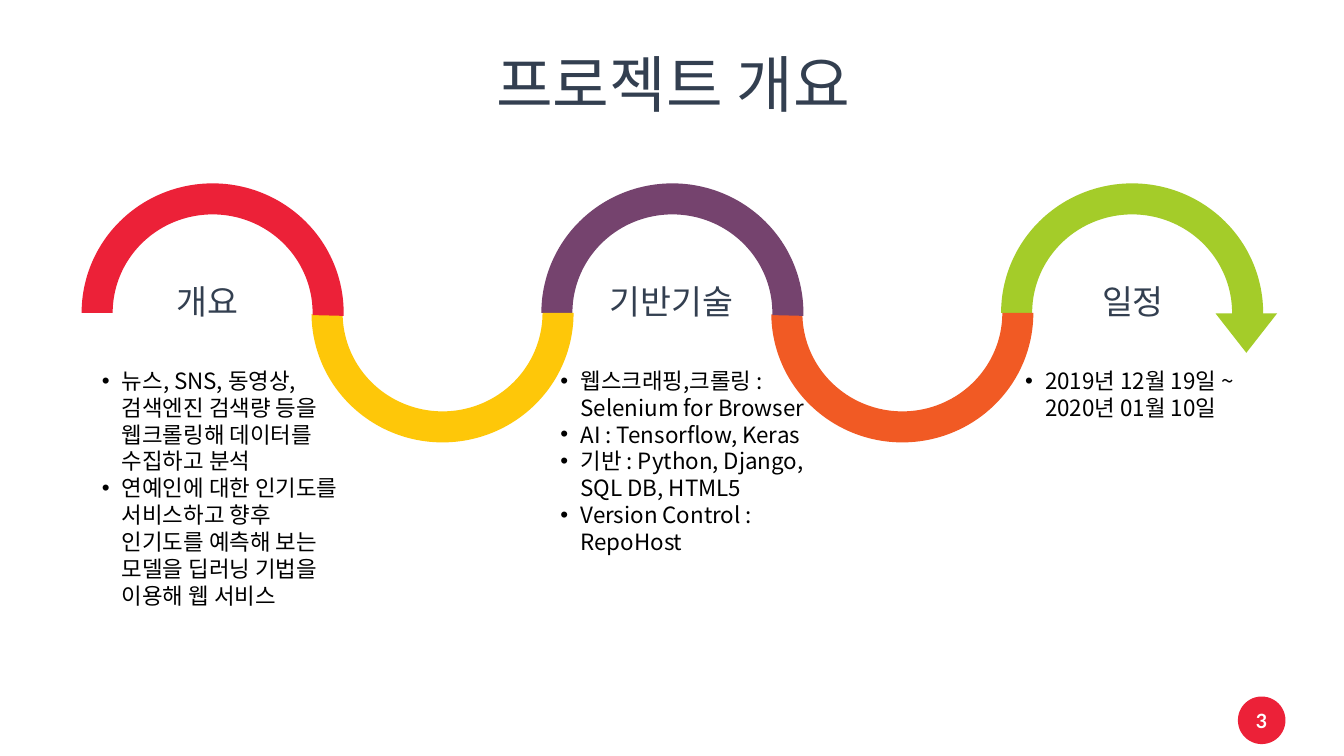
from dataclasses import dataclass

from lxml.etree import SubElement
from pptx import Presentation
from pptx.dml.color import RGBColor
from pptx.enum.shapes import MSO_SHAPE
from pptx.enum.text import MSO_ANCHOR, MSO_AUTO_SIZE, PP_ALIGN
from pptx.oxml import parse_xml
from pptx.oxml.ns import nsdecls, qn
from pptx.util import Pt


@dataclass(frozen=True)
class Theme:
    red: str = "EC2138"
    yellow: str = "FEC709"
    purple: str = "75436E"
    orange: str = "F15A24"
    green: str = "A4CC29"
    heading: str = "333F50"
    body: str = "000000"
    white: str = "FFFFFF"
    font: str = "Noto Sans CJK KR"
    number_font: str = "Lato"
    title_size: int = 44
    heading_size: int = 24
    body_size: int = 16
    number_size: int = 14


THEME = Theme()

# Wave geometry, in points
WAVE_LEFT, WAVE_TOP, WAVE_STEP = 58.3, 131, 164.2
ARC_WIDTH, ARC_HEIGHT = 187.2, 185
ARC_COLORS = (THEME.red, THEME.yellow, THEME.purple, THEME.orange, THEME.green)

# Heading, centre of the heading, left edge and height of the list, list items
SECTIONS = (
    ("개요", 148.3, 65.5, 181.5, (
        "뉴스, SNS, 동영상, 검색엔진 검색량 등을 웹크롤링해 데이터를 수집하고 분석",
        "연예인에 대한 인기도를 서비스하고 향후 인기도를 예측해 보는 "
        "모델을 딥러닝 기법을 이용해 웹 서비스",
    )),
    ("기반기술", 479.9, 393.1, 143.3, (
        "웹스크래핑,크롤링 : Selenium for Browser",
        "AI : Tensorflow, Keras",
        "기반 : Python, Django, SQL DB, HTML5",
        "Version Control : RepoHost",
    )),
    ("일정", 809.3, 725, 46, ("2019년 12월 19일 ~ 2020년 01월 10일",)),
)


def place(shape, left, top, width, height):
    shape.left, shape.top = Pt(left), Pt(top)
    shape.width, shape.height = Pt(width), Pt(height)


def style_paragraph(paragraph, size, color, font=THEME.font, bold=False):
    paragraph.font.name = font
    paragraph.font.size = Pt(size)
    paragraph.font.bold = bold
    paragraph.font.color.rgb = RGBColor.from_string(color)
    # East Asian typeface for Korean text
    properties = paragraph._p.get_or_add_pPr().get_or_add_defRPr()
    SubElement(properties, qn("a:ea"), typeface=font)


def add_bullet(paragraph, indent=14.4):
    properties = paragraph._p.get_or_add_pPr()
    properties.set("marL", str(Pt(indent)))
    properties.set("indent", str(-Pt(indent)))
    default_run = properties.get_or_add_defRPr()
    for tag in ('a:buFont {} typeface="Arial"', 'a:buChar {} char="•"'):
        default_run.addprevious(parse_xml(f"<{tag.format(nsdecls('a'))}/>"))


def add_solid_shape(slide, kind, color, left, top, width, height, rotation=0):
    shape = slide.shapes.add_shape(
        kind, Pt(left), Pt(top), Pt(width), Pt(height))
    shape.shadow.inherit = False
    shape.fill.solid()
    shape.fill.fore_color.rgb = RGBColor.from_string(color)
    shape.line.fill.background()
    shape.rotation = rotation
    return shape


def fill_title(title):
    place(title, 67, 26, 828, 72.7)
    title.text_frame.text = "프로젝트 개요"
    title.text_frame.vertical_anchor = MSO_ANCHOR.MIDDLE
    paragraph = title.text_frame.paragraphs[0]
    paragraph.alignment = PP_ALIGN.CENTER
    paragraph.line_spacing = 0.9
    style_paragraph(paragraph, THEME.title_size, THEME.heading)


def add_wave(slide):
    # Right to left, so that each arc lies over the next one
    for index, color in reversed(list(enumerate(ARC_COLORS))):
        is_valley = index % 2 == 1
        arc = add_solid_shape(
            slide, MSO_SHAPE.BLOCK_ARC, color, WAVE_LEFT + index * WAVE_STEP,
            WAVE_TOP, ARC_WIDTH, ARC_HEIGHT, 180 if is_valley else 0)
        arc.adjustments[0] = 108
        arc.adjustments[1] = 215.63 if is_valley else 0.79
        arc.adjustments[2] = 0.12
    # Arrow tip
    add_solid_shape(slide, MSO_SHAPE.ISOSCELES_TRIANGLE, THEME.green,
                    868.3, 223.9, 43.9, 28.1, 180)


def add_heading(slide, text, center, width=103):
    box = slide.shapes.add_textbox(
        Pt(center - width / 2), Pt(197.3), Pt(width), Pt(36))
    box.text_frame.word_wrap = False
    box.text_frame.text = text
    paragraph = box.text_frame.paragraphs[0]
    paragraph.alignment = PP_ALIGN.CENTER
    style_paragraph(paragraph, THEME.heading_size, THEME.heading)


def fill_list(placeholder, left, height, items):
    place(placeholder, left, 258.5, 189.4, height)
    frame = placeholder.text_frame
    frame.text = "\n".join(items)
    frame.word_wrap = True
    frame.auto_size = MSO_AUTO_SIZE.SHAPE_TO_FIT_TEXT
    frame.vertical_anchor = MSO_ANCHOR.TOP
    for paragraph in frame.paragraphs:
        paragraph.alignment = PP_ALIGN.LEFT
        paragraph.space_before = Pt(0)
        style_paragraph(paragraph, THEME.body_size, THEME.body)
        add_bullet(paragraph)


def add_page_number(slide, number):
    badge = add_solid_shape(slide, MSO_SHAPE.OVAL, THEME.red,
                            884.2, 497.5, 34, 34)
    frame = badge.text_frame
    frame.margin_left = frame.margin_right = Pt(0)
    frame.word_wrap = False
    frame.text = str(number)
    paragraph = frame.paragraphs[0]
    paragraph.alignment = PP_ALIGN.CENTER
    style_paragraph(paragraph, THEME.number_size, THEME.white,
                    THEME.number_font, bold=True)


def main():
    presentation = Presentation()
    presentation.slide_width, presentation.slide_height = Pt(960), Pt(540)
    # The comparison layout holds a title and four body placeholders
    slide = presentation.slides.add_slide(presentation.slide_layouts[4])
    title, *bodies = list(slide.placeholders)

    fill_title(title)
    add_wave(slide)
    for body, section in zip(bodies, SECTIONS):
        heading, center, left, height, items = section
        add_heading(slide, heading, center)
        fill_list(body, left, height, items)
    for unused in bodies[len(SECTIONS):]:
        unused.element.getparent().remove(unused.element)
    add_page_number(slide, 3)

    presentation.save("out.pptx")


if __name__ == "__main__":
    main()
